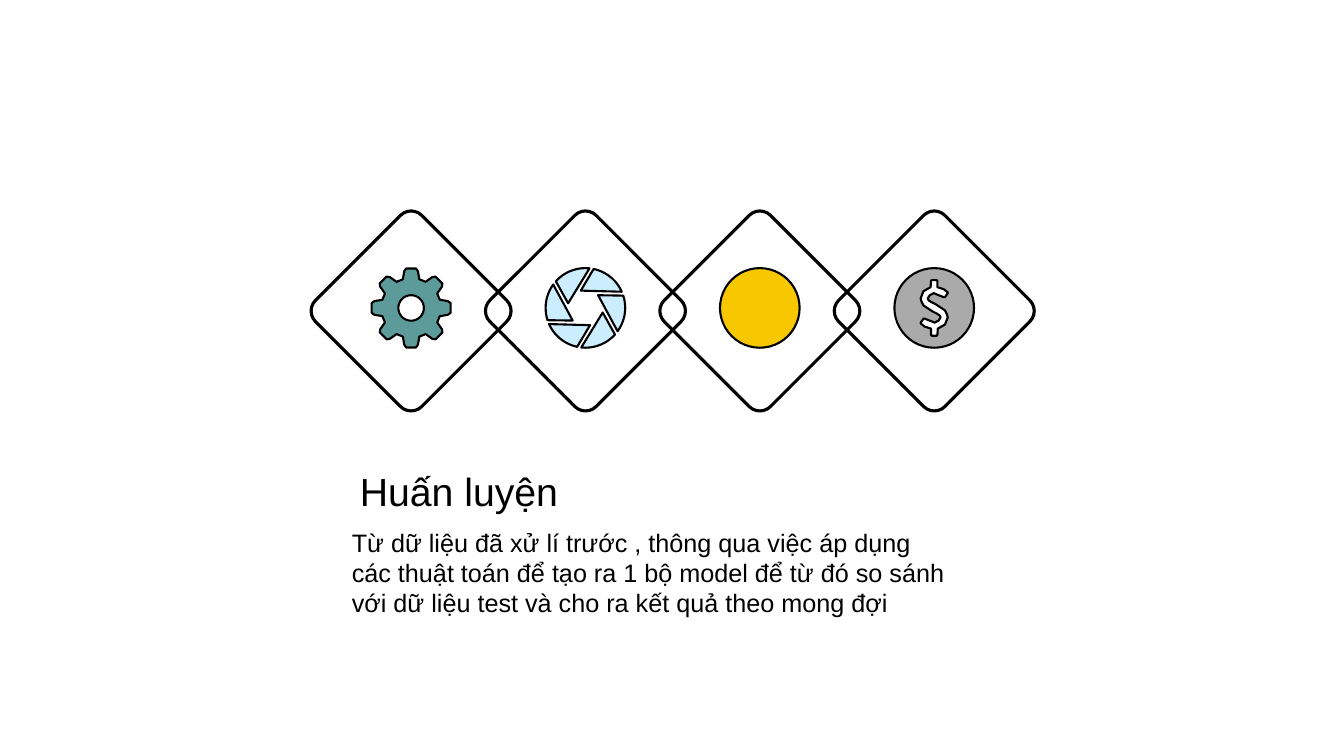
import math

import pptx
import pptx.dml.color
import pptx.enum.shapes
import pptx.enum.text
import pptx.util

COLORS = {
    "ink": "000000",
    "paper": "FFFFFF",
    "gear": "5D9B9B",
    "shutter": "CBEDFE",
    "disc": "F7C800",
    "coin": "AAAAAA",
}
FONT = "Arial"
CELL = pptx.util.Inches(1) / 6  # the slide is a grid of 80 columns by 45 rows
COLS, ROWS = 80, 45

# Half of the dollar sign in hundredths of the coin radius; the other half is its point reflection.
DOLLAR_HALF = [
    (27, 42), (9, 52), (8, 68), (6, 70), (-6, 70), (-8, 68), (-8, 52), (-24, 47),
    (-34, 39), (-34, 37), (-27, 27), (-24, 27), (-6, 34), (1, 37), (11, 32), (16, 24),
    (14, 19), (6, 14), (-4, 9), (-16, 1), (-27, -6), (-32, -16), (-34, -24),
]


def grid(*cells):
    return [round(c * CELL) for c in cells]


def rgb(name):
    return pptx.dml.color.RGBColor.from_string(COLORS[name])


def style(s, fill, width):
    s.shadow.inherit = False
    if fill:
        s.fill.solid()
        s.fill.fore_color.rgb = rgb(fill)
    else:
        s.fill.background()
    s.line.color.rgb = rgb("ink")
    s.line.width = pptx.util.Pt(width)


def polar(radius, degrees):
    """Point at an angle measured clockwise from straight up."""
    a = math.radians(degrees)
    return radius * math.sin(a), -radius * math.cos(a)


def outline(slide, center, radius, contours, fill):
    """Closed contours given in units of the icon radius around its center."""
    cx, cy = center
    placed = [[grid(cx + radius * x, cy + radius * y) for x, y in c] for c in contours]
    builder = slide.shapes.build_freeform(*placed[0][0])
    builder.add_line_segments(placed[0][1:])
    for contour in placed[1:]:
        builder.move_to(*contour[0])
        builder.add_line_segments(contour[1:])
    style(builder.convert_to_shape(), fill, 1.5)


def disc(slide, center, radius, fill):
    cx, cy = center
    s = slide.shapes.add_shape(
        pptx.enum.shapes.MSO_SHAPE.OVAL,
        *grid(cx - radius, cy - radius, 2 * radius, 2 * radius))
    style(s, fill, 1.5)


def gear_icon(slide, center, radius):
    tooth = [(0.75, -16), (0.94, -10.5), (1, -7), (1, 7), (0.94, 10.5), (0.75, 16)]
    rim = [polar(r, 45 * k + a) for k in range(8) for r, a in tooth]
    hole = [polar(0.32, a) for a in range(0, 360, 6)]
    outline(slide, center, radius, [rim, hole], "gear")


def shutter_icon(slide, center, radius):
    blades = []
    for turn in range(0, 360, 60):
        arc = [polar(1, turn + a) for a in range(-48, 7, 6)]
        blades.append([polar(0.45, turn - 75)] + arc)
    outline(slide, center, radius, blades, "shutter")


def disc_icon(slide, center, radius):
    disc(slide, center, radius, "disc")


def coin_icon(slide, center, radius):
    disc(slide, center, radius, "coin")
    half = [(x / 100, y / 100) for x, y in DOLLAR_HALF]
    outline(slide, center, radius, [half + [(-x, -y) for x, y in half]], "paper")


def diamond_chain(slide, left, top, width, side):
    icons = [gear_icon, shutter_icon, disc_icon, coin_icon]
    pitch = (width - side) / (len(icons) - 1)
    for k in range(len(icons)):
        s = slide.shapes.add_shape(
            pptx.enum.shapes.MSO_SHAPE.ROUNDED_RECTANGLE,
            *grid(left + k * pitch, top, side, side))
        s.adjustments[0] = 0.1
        s.rotation = 45
        style(s, None, 2.25)
    for k, icon in enumerate(icons):
        center = left + k * pitch + side / 2, top + 0.48 * side
        icon(slide, center, 0.265 * side)


def write(s, box, text, size):
    s.left, s.top, s.width, s.height = grid(*box)
    tf = s.text_frame
    tf.word_wrap = True
    tf.auto_size = pptx.enum.text.MSO_AUTO_SIZE.NONE
    tf.vertical_anchor = pptx.enum.text.MSO_ANCHOR.TOP
    tf.text = text
    p = tf.paragraphs[0]
    p.font.name = FONT
    p.font.size = pptx.util.Pt(size)
    p.font.color.rgb = rgb("ink")
    return p


def heading(slide, *box):
    p = write(slide.shapes.title, box, "Huấn luyện", 28)
    p.alignment = pptx.enum.text.PP_ALIGN.JUSTIFY
    p.line_spacing = 1.2


def description(slide, *box):
    s = slide.shapes.add_textbox(*grid(*box))
    write(s, box,
          "Từ dữ liệu đã xử lí trước , thông qua việc áp dụng các thuật toán để tạo ra "
          "1 bộ model để từ đó so sánh với dữ liệu test và cho ra kết quả theo mong đợi", 18)
    s.text_frame.margin_left = pptx.util.Inches(0.6)


def main():
    prs = pptx.Presentation()
    prs.slide_width, prs.slide_height = grid(COLS, ROWS)
    slide = prs.slides.add_slide(prs.slide_layouts.get_by_name("Title Only"))
    diamond_chain(slide, 20, 14.04, 40.08, 8.94)
    heading(slide, 20.82, 26.94, 15.12, 4.14)
    description(slide, 17.34, 31.08, 39.9, 8.82)
    prs.save("out.pptx")


if __name__ == "__main__":
    main()
